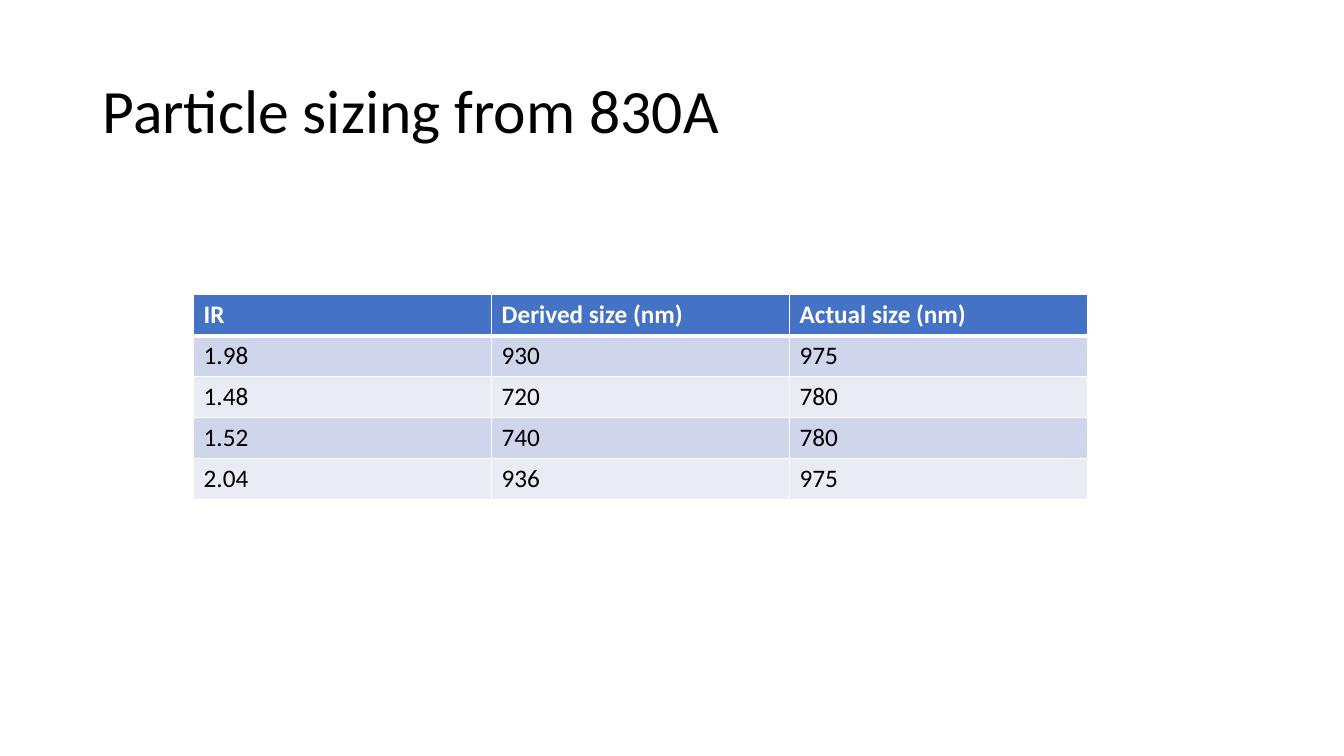
import pptx
import pptx.dml.color
import pptx.enum.text
import pptx.oxml.ns
import pptx.util
from lxml import etree

Cm = pptx.util.Cm
Pt = pptx.util.Pt
RGBColor = pptx.dml.color.RGBColor

# Content
TITLE = "Particle sizing from 830A"
ROWS = [
    ("IR", "Derived size (nm)", "Actual size (nm)"),
    ("1.98", "930", "975"),
    ("1.48", "720", "780"),
    ("1.52", "740", "780"),
    ("2.04", "936", "975"),
]

# Style
FONT = "Calibri"
BLACK = RGBColor(0x00, 0x00, 0x00)
WHITE = RGBColor(0xFF, 0xFF, 0xFF)
HEADER_FILL = RGBColor(0x44, 0x72, 0xC4)
BAND_FILLS = (RGBColor(0xE9, 0xEB, 0xF5), RGBColor(0xCF, 0xD5, 0xEA))
COLUMN_WIDTH = Cm(7.51)
ROW_HEIGHT = Cm(1.03)


def add_text(paragraph, text, size, color, bold=False):
    run = paragraph.add_run()
    run.text = text
    run.font.name = FONT
    run.font.size = Pt(size)
    run.font.bold = bold
    run.font.color.rgb = color


def set_border(cell, side, width):
    qn = pptx.oxml.ns.qn
    properties = cell._tc.get_or_add_tcPr()
    line = etree.SubElement(properties, qn(f"a:ln{side}"), w=str(Pt(width)))
    fill = etree.SubElement(line, qn("a:solidFill"))
    etree.SubElement(fill, qn("a:srgbClr"), val=str(WHITE))


presentation = pptx.Presentation()
presentation.slide_width = Cm(33.87)
presentation.slide_height = Cm(19.05)
slide = presentation.slides.add_slide(presentation.slide_layouts[5])

# Title
title = slide.shapes.title
title.left, title.top, title.width, title.height = Cm(2.33), Cm(1.01), Cm(29.21), Cm(3.68)
title.text_frame.vertical_anchor = pptx.enum.text.MSO_ANCHOR.MIDDLE
title_paragraph = title.text_frame.paragraphs[0]
title_paragraph.alignment = pptx.enum.text.PP_ALIGN.LEFT
title_paragraph.line_spacing = 0.9
add_text(title_paragraph, TITLE, 44, BLACK)

# Table of sizes
table = slide.shapes.add_table(
    len(ROWS), len(ROWS[0]), Cm(4.88), Cm(7.43),
    COLUMN_WIDTH * len(ROWS[0]), ROW_HEIGHT * len(ROWS),
).table
for column in table.columns:
    column.width = COLUMN_WIDTH
for row_index, values in enumerate(ROWS):
    table.rows[row_index].height = ROW_HEIGHT
    is_header = row_index == 0
    # The rule under the header is heavier than the other cell borders
    borders = {"L": 1, "R": 1, "T": 3 if row_index == 1 else 1, "B": 3 if is_header else 1}
    for column_index, value in enumerate(values):
        cell = table.cell(row_index, column_index)
        for side, width in borders.items():
            set_border(cell, side, width)
        cell.fill.solid()
        cell.fill.fore_color.rgb = HEADER_FILL if is_header else BAND_FILLS[row_index % 2]
        add_text(cell.text_frame.paragraphs[0], value, 18, WHITE if is_header else BLACK, is_header)

presentation.save("out.pptx")
